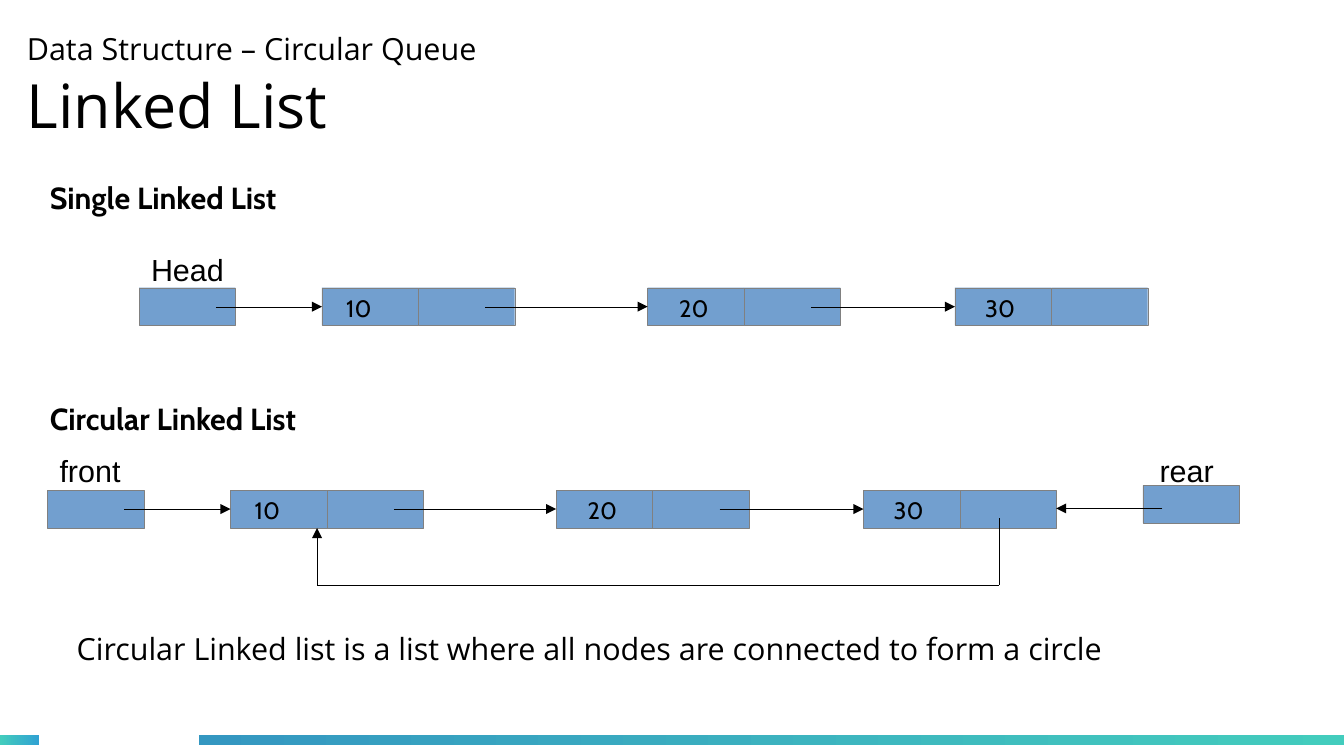
"""Build a slide comparing single and circular linked lists."""
from dataclasses import dataclass

from lxml import etree
from pptx import Presentation, util as u
from pptx.dml import color
from pptx.enum import shapes, text
from pptx.oxml import ns


@dataclass(frozen=True)
class Theme:
    ink: str = "000000"
    cell: str = "729FCF"
    border: str = "808080"
    teal: str = "43CCBD"
    sky: str = "30A2D2"
    blue: str = "3497C1"
    title_size: int = 36
    body_size: int = 18
    value_size: int = 14
    hairline: float = 0.1
    sans: str = "Open Sans"
    heading: str = "Cabin"
    label: str = "Arial"


T = Theme()


def write(p, words, *, font, size=T.body_size, bold=False):
    r = p.add_run()
    r.text = words
    r.font.name, r.font.size, r.font.bold = font, u.Pt(size), bold
    r.font.color.rgb = color.RGBColor.from_string(T.ink)


def line(s, x1, y1, x2, y2, arrow=True):
    ends = [u.Inches(v) for v in (x1, y1, x2, y2)]
    c = s.shapes.add_connector(shapes.MSO_CONNECTOR.STRAIGHT, *ends)
    c.line.color.rgb = color.RGBColor.from_string(T.ink)
    c.line.width = u.Pt(T.hairline)
    if arrow:
        etree.SubElement(c.line._get_or_add_ln(), ns.qn("a:tailEnd"), type="triangle")
    etree.SubElement(c._element.spPr, ns.qn("a:effectLst"))


prs = Presentation()
prs.slide_width, prs.slide_height = u.Inches(11.02), u.Inches(6.2)
s = prs.slides.add_slide(prs.slide_layouts[5])

title = s.shapes.title
title.left, title.top, title.width, title.height = map(u.Inches, (0.22, 0.08, 9.94, 1.24))
tf = title.text_frame
tf.margin_left = tf.margin_right = tf.margin_top = tf.margin_bottom = 0
tf.vertical_anchor = text.MSO_ANCHOR.MIDDLE
tf.auto_size = text.MSO_AUTO_SIZE.NONE
p = tf.paragraphs[0]
p.alignment = text.PP_ALIGN.LEFT
write(p, "Data Structure – Circular Queue", font=T.sans)
p.add_line_break()
write(p, "Linked List", font=T.sans, size=T.title_size)

for x, width, start, end in ((0, 0.32, T.teal, T.sky), (1.63, 9.4, T.blue, T.teal)):
    bar = s.shapes.add_shape(shapes.MSO_SHAPE.RECTANGLE, *map(u.Inches, (x, 6.03, width, 0.08)))
    bar.shadow.inherit = False
    bar.line.fill.background()
    bar.fill.gradient()
    bar.fill.gradient_angle = 0
    for stop, shade in zip(bar.fill.gradient_stops, (start, end)):
        stop.color.rgb = color.RGBColor.from_string(shade)

CELL_W, CELL_H = 0.79, 0.31
NODES = (("10", 0, 0.1), ("20", 2.67, 0.16), ("30", 5.19, 0.15))
LISTS = ((2.64, 2.36), (1.89, 4.02))

cells = [(9.37, 3.98)]
arrows = [(9.53, 4.17, 8.66, 4.17), (2.6, 4.8, 2.6, 4.33)]
values = []
for x0, y in LISTS:
    mid = y + CELL_H / 2
    xs = [x0 + dx for _, dx, _ in NODES]
    cells.append((x0 - 1.5, y))
    arrows.append((x0 - 0.87, mid, x0, mid))
    arrows += [(a + 1.34, mid, b, mid) for a, b in zip(xs, xs[1:])]
    for x, (value, _, inset) in zip(xs, NODES):
        cells += [(x, y), (x + CELL_W, y)]
        values.append((value, x + inset, y, 0.5, 0.36, T.heading, T.value_size, False))

for x, y in cells:
    sp = s.shapes.add_shape(shapes.MSO_SHAPE.RECTANGLE, *map(u.Inches, (x, y, CELL_W, CELL_H)))
    sp.shadow.inherit = False
    sp.fill.solid()
    sp.fill.fore_color.rgb = color.RGBColor.from_string(T.cell)
    sp.line.color.rgb = color.RGBColor.from_string(T.border)
    sp.line.width = u.Pt(T.hairline)

for ends in arrows:
    line(s, *ends)
line(s, 8.19, 4.25, 8.19, 4.8, arrow=False)
line(s, 2.6, 4.8, 8.19, 4.8, arrow=False)

labels = [
    ("Single Linked List", 0.31, 1.42, 3.15, 0.45, T.heading, T.body_size, True),
    ("Circular Linked List", 0.31, 3.23, 3.15, 0.45, T.heading, T.body_size, True),
    ("Head", 1.14, 2.01, 0.86, 0.38, T.label, T.body_size, False),
    ("front", 0.39, 3.66, 0.77, 0.38, T.label, T.body_size, False),
    ("rear", 9.41, 3.66, 0.71, 0.38, T.label, T.body_size, False),
    ("Circular Linked list is a list where all nodes are connected to form a circle",
     0.53, 5.12, 9.43, 0.44, T.sans, T.body_size, False),
]
for words, x, y, w, h, font, size, bold in labels + values:
    tf = s.shapes.add_textbox(*map(u.Inches, (x, y, w, h))).text_frame
    tf.word_wrap = bold
    tf.auto_size = text.MSO_AUTO_SIZE.SHAPE_TO_FIT_TEXT
    write(tf.paragraphs[0], words, font=font, size=size, bold=bold)

prs.save("out.pptx")
